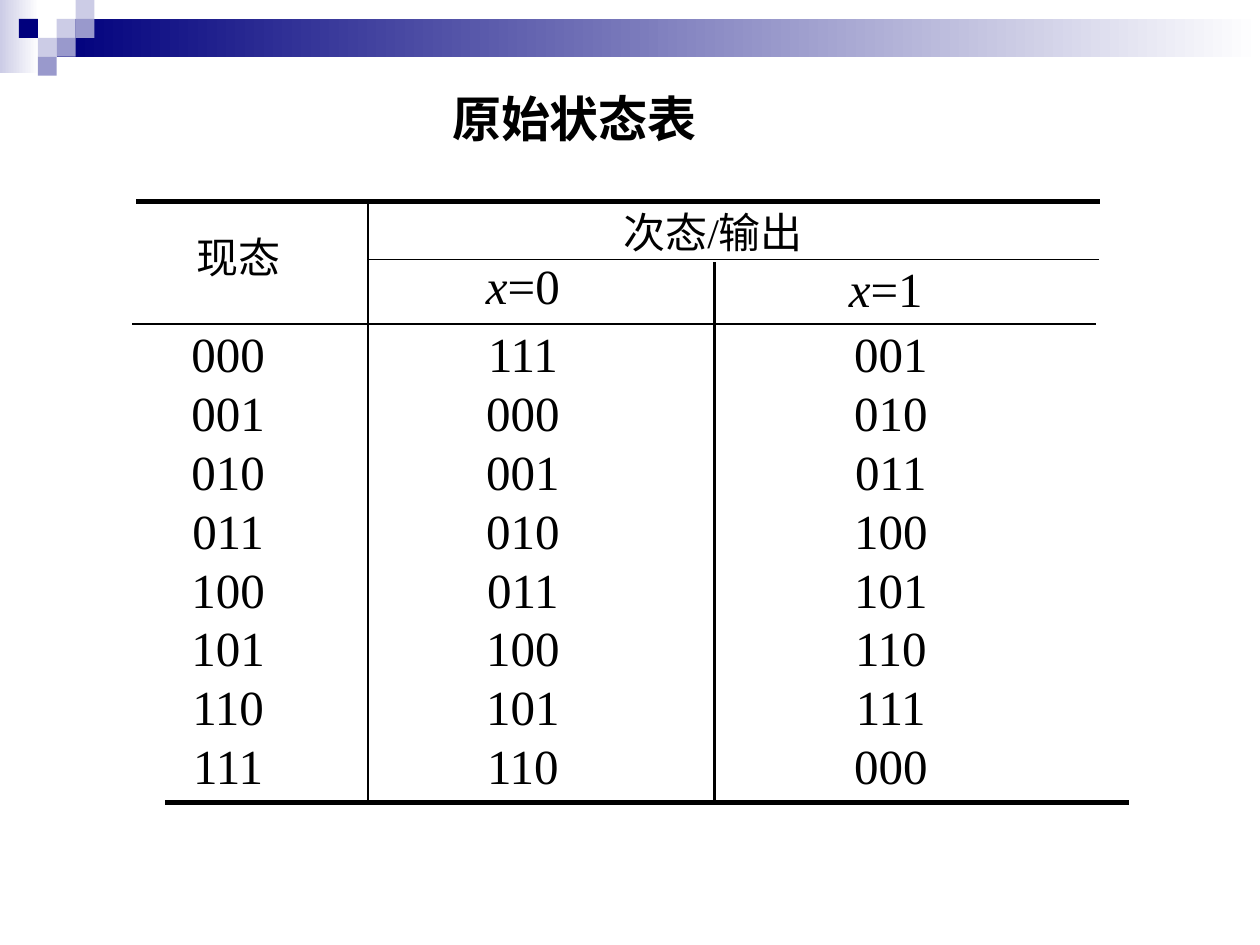
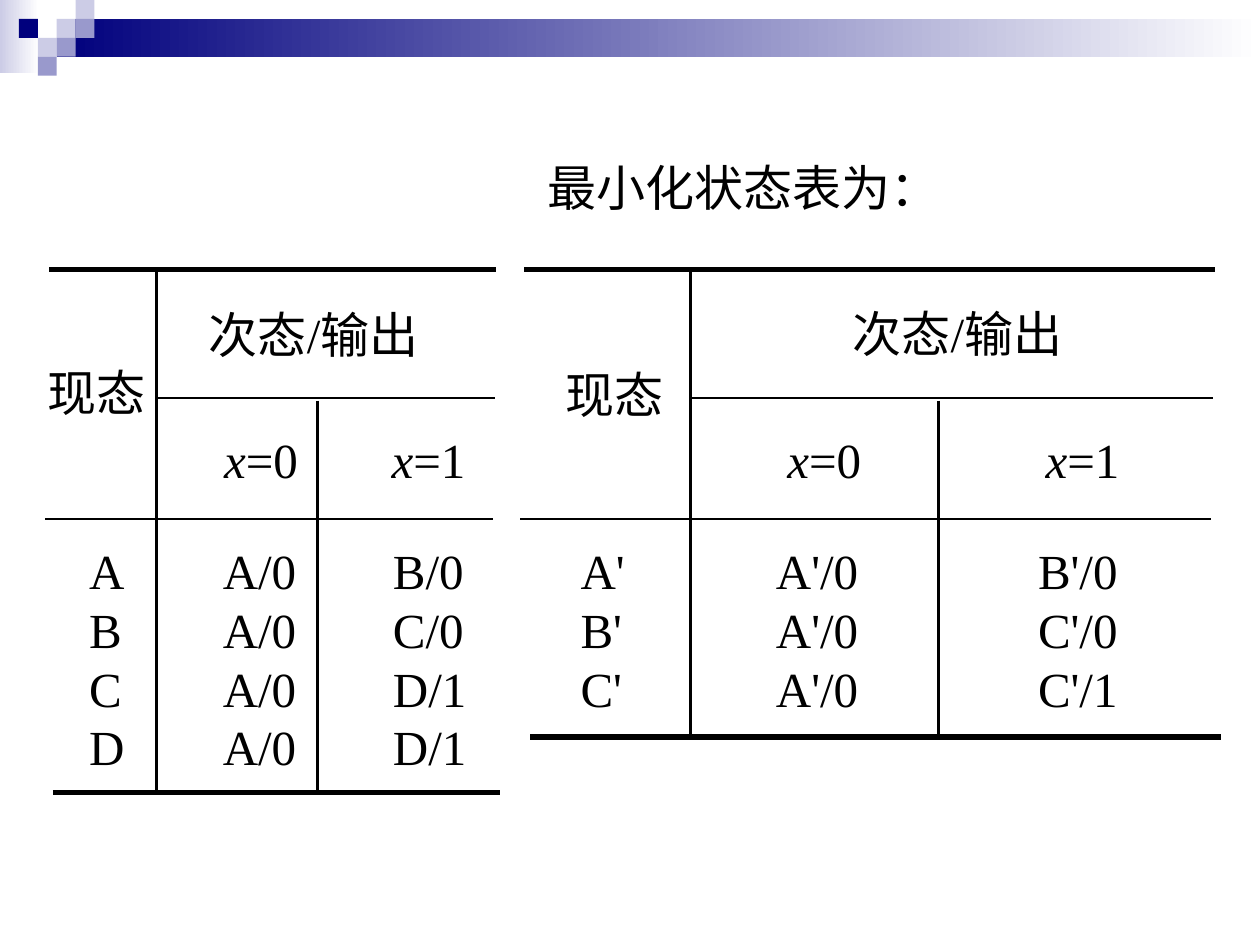
from lxml.etree import SubElement
from pptx import Presentation
from pptx.dml.color import RGBColor
from pptx.enum.shapes import MSO_CONNECTOR, MSO_SHAPE
from pptx.enum.text import MSO_AUTO_SIZE, PP_ALIGN
from pptx.oxml.ns import qn
from pptx.util import Inches, Pt

COLUMNS, ROWS = 100, 75
COLORS = {"ink": "000000", "navy": "00007D", "violet": "9999CC",
          "lavender": "CCCCE6", "white": "FFFFFF"}
FONT = "Times New Roman"
HEAVY, MEDIUM, THIN = 3, 1.5, 1

# Mosaic squares: column, row, color
MOSAIC_STEP = 1.5
MOSAIC = [(3, 1, "lavender"), (4, 0, "lavender"), (4, 1, "violet"),
          (2, 2, "lavender"), (1, 1, "navy"), (3, 2, "violet"), (2, 3, "violet")]


class Deck:
    """Style and current slide; lengths are columns and rows of a 100 x 75 grid."""

    def __init__(self):
        self.presentation = Presentation()
        self.presentation.slide_width = Inches(10)
        self.presentation.slide_height = Inches(7.5)
        self.column = self.presentation.slide_width / COLUMNS
        self.row = self.presentation.slide_height / ROWS
        self.slide = None

    def x(self, columns):
        return round(columns * self.column)

    def y(self, rows):
        return round(rows * self.row)

    def color(self, name):
        return RGBColor.from_string(COLORS[name])

    def add_slide(self):
        self.slide = self.presentation.slides.add_slide(self.presentation.slide_layouts[6])
        self.rectangle(0, 0, 3.1, 5.8, "lavender", "white")
        self.rectangle(4.5, 1.5, 95.5, 3, "navy", "white")
        for column, row, color in MOSAIC:
            self.rectangle(column * MOSAIC_STEP, row * MOSAIC_STEP,
                           MOSAIC_STEP, MOSAIC_STEP, color)

    def rectangle(self, left, top, width, height, color, fade_to=None):
        shape = self.slide.shapes.add_shape(
            MSO_SHAPE.RECTANGLE, self.x(left), self.y(top), self.x(width), self.y(height))
        shape.shadow.inherit = False
        shape.line.fill.background()
        if fade_to:
            shape.fill.gradient()
            shape.fill.gradient_angle = 0
            for stop, name in zip(shape.fill.gradient_stops, (color, fade_to)):
                stop.color.rgb = self.color(name)
        else:
            shape.fill.solid()
            shape.fill.fore_color.rgb = self.color(color)

    def rule(self, left, top, right, bottom, weight):
        connector = self.slide.shapes.add_connector(
            MSO_CONNECTOR.STRAIGHT, self.x(left), self.y(top), self.x(right), self.y(bottom))
        connector.line.color.rgb = self.color("ink")
        connector.line.width = Pt(weight)
        SubElement(connector._element.spPr, qn("a:effectLst"))

    def text(self, left, top, width, lines, size=28, align=PP_ALIGN.LEFT, bold=False):
        """Write one paragraph per line; a leading x is set in italics."""
        height = len(lines) * size / 6 + 1
        box = self.slide.shapes.add_textbox(
            self.x(left), self.y(top), self.x(width), self.y(height))
        frame = box.text_frame
        frame.word_wrap = False
        frame.auto_size = MSO_AUTO_SIZE.SHAPE_TO_FIT_TEXT
        # Spare room beside the text keeps each line whole
        frame.margin_right = 0
        if align == PP_ALIGN.CENTER:
            frame.margin_left = 0
        for index, line in enumerate(lines):
            paragraph = frame.add_paragraph() if index else frame.paragraphs[0]
            paragraph.alignment = align
            paragraph.font.name = FONT
            paragraph.font.size = Pt(size)
            paragraph.font.bold = bold
            paragraph.font.color.rgb = self.color("ink")
            if line.startswith("x"):
                variable = paragraph.add_run()
                variable.text = "x"
                variable.font.italic = True
                line = line[1:]
            paragraph.add_run().text = line

    def table_rules(self, across, down, dividers, shift):
        """Rule a state table; shift moves the bottom rule to the right."""
        left, right = across
        top, middle, header, bottom = down
        first, second = dividers
        self.rule(left, top, right, top, HEAVY)
        self.rule(left + shift, bottom, right + shift, bottom, HEAVY)
        self.rule(first, top, first, bottom, MEDIUM)
        self.rule(second, middle + 0.2, second, bottom, MEDIUM)
        self.rule(first, middle, right - 0.1, middle, THIN)
        self.rule(left - 0.3, header, right - 0.3, header, THIN)

    def table_text(self, present, following, inputs, columns, body_top,
                   size=28, align=PP_ALIGN.LEFT):
        """Fill a state table; headings are places, columns are left, width, lines."""
        self.text(*present, ["现态"], size, align)
        self.text(*following, ["次态/输出"], size, align)
        for value, place in enumerate(inputs):
            self.text(*place, [f"x={value}"], align=align)
        for left, width, lines in columns:
            self.text(left, body_top, width, lines, align=align)


def original_states(deck):
    deck.add_slide()
    deck.table_rules((10.8, 87.3), (16, 20.6, 25.7, 63.7), (29.2, 56.7), 2.3)
    states = [f"{number:03b}" for number in range(8)]
    deck.table_text(
        (14.6, 17.9, 8.6), (47.7, 15.9, 17.8),
        [(37.6, 19.8, 7.8), (66.4, 20, 7.8)],
        [(14.2, 7.8, states),
         (37.6, 7.8, states[-1:] + states[:-1]),
         (66.8, 7.8, states[1:] + states[:1])],
        25.2, size=24, align=PP_ALIGN.CENTER)
    deck.text(34.9, 6.5, 21.4, ["原始状态表"], bold=True)


def minimal_states(deck):
    deck.add_slide()
    deck.text(42.5, 12, 33, ["最小化状态表为："])
    deck.table_rules((41.6, 96.4), (21.4, 31.6, 41.2, 58.5), (54.8, 74.5), 0.5)
    deck.table_text(
        (43.9, 28.4, 9.7), (66.7, 23.6, 20.5),
        [(61.5, 33.6, 7.8), (82, 33.6, 7.8)],
        [(45.1, 5.5, ["A'", "B'", "C'"]),
         (60.6, 8.5, ["A'/0"] * 3),
         (81.4, 8.3, ["B'/0", "C'/0", "C'/1"])],
        42.4)
    deck.table_rules((3.9, 39.4), (21.4, 31.6, 41.2, 62.9), (12.4, 25.2), 0.3)
    deck.table_text(
        (2.8, 28.3, 9.7), (15.6, 23.7, 20.5),
        [(16.8, 33.6, 7.8), (30.1, 33.6, 7.8)],
        [(6.1, 4.8, ["A", "B", "C", "D"]),
         (16.7, 7.8, ["A/0"] * 4),
         (30.2, 7.8, ["B/0", "C/0", "D/1", "D/1"])],
        42.4)


def main():
    deck = Deck()
    original_states(deck)
    minimal_states(deck)
    deck.presentation.save("out.pptx")


if __name__ == "__main__":
    main()
